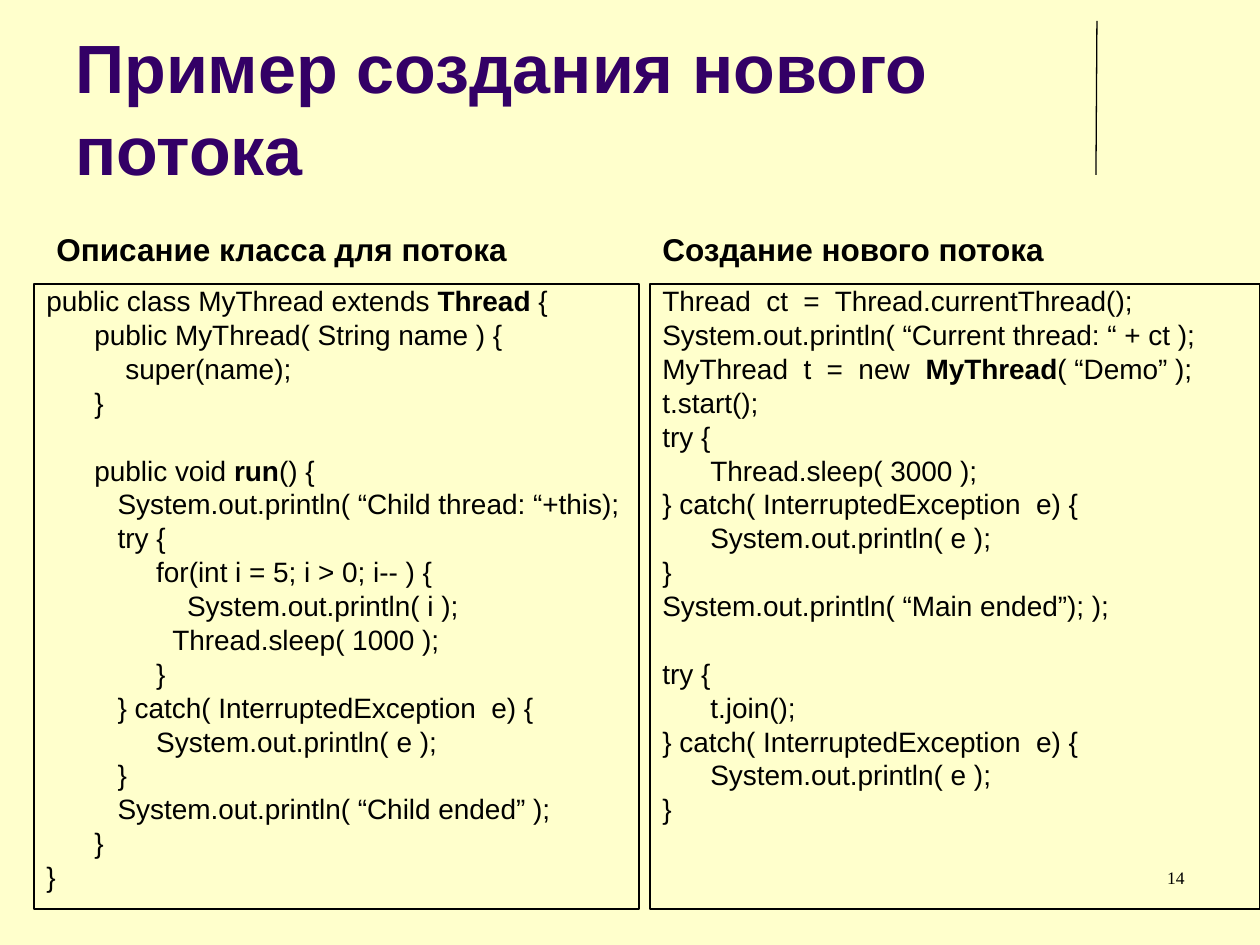
from lxml import etree
from pptx import Presentation, util as u
from pptx.dml.color import RGBColor
from pptx.enum import shapes, text
from pptx.oxml.ns import qn

PX = 914400 // 126
INCH = 914400
CREAM = RGBColor(0xFF, 0xFF, 0xCC)
PURPLE = RGBColor(0x33, 0x00, 0x66)
BLACK = RGBColor(0x00, 0x00, 0x00)

THREAD_CLASS = """\
public class MyThread extends **Thread** {
\tpublic MyThread( String name ) {
\t    super(name);
\t}

\tpublic void **run**() {
\t   System.out.println( “Child thread: “+this);
\t   try {
\t        for(int i = 5; i > 0; i-- ) {
\t            System.out.println( i );
\t\t  Thread.sleep( 1000 );
\t        }
\t   } catch( InterruptedException  e) {
\t        System.out.println( e );
\t   }
\t   System.out.println( “Child ended” );
\t}
}"""

THREAD_START = """\
Thread  ct  =  Thread.currentThread();
System.out.println( “Current thread: “ + ct );
MyThread  t  =  new  **MyThread**( “Demo” );
t.start();
try {
\tThread.sleep( 3000 );
} catch( InterruptedException  e) {
\tSystem.out.println( e );
}
System.out.println( “Main ended”); );

try {
\tt.join();
} catch( InterruptedException  e) {
\tSystem.out.println( e );
}"""


def set_font(paragraph, size, color=BLACK, bold=None, name="Arial"):
    font = paragraph.font
    font.name, font.size, font.bold = name, u.Pt(size), bold
    font.color.rgb = color


def add_label(left, top, width, height, words):
    """Add a wrapping one-paragraph text box and return its text frame."""
    box = slide.shapes.add_textbox(left * PX, top * PX, width * PX, height * PX)
    box.text_frame.word_wrap = True
    box.text_frame.text = words
    return box.text_frame


presentation = Presentation()
presentation.slide_width = u.Inches(10)
presentation.slide_height = u.Inches(7.5)
slide = presentation.slides.add_slide(presentation.slide_layouts[6])
slide.background.fill.solid()
slide.background.fill.fore_color.rgb = CREAM

# Title and the rule to its right
rule = slide.shapes.add_connector(
    shapes.MSO_CONNECTOR.STRAIGHT, 1097 * PX, 21 * PX, 1096 * PX, 175 * PX)
rule.line.color.rgb = BLACK
rule.line.width = u.Pt(0.75)
etree.SubElement(rule._element.spPr, qn("a:effectLst"))

title = add_label(63, 16, 1040, 179, "Пример создания нового потока")
title.vertical_anchor = text.MSO_ANCHOR.BOTTOM
set_font(title.paragraphs[0], 39, PURPLE, True)

# Code panels: left, width, line width, code
for left, width, line_width, code in (
    (34, 605, 0.75, THREAD_CLASS),
    (650, 610, 1, THREAD_START),
):
    panel = slide.shapes.add_shape(
        shapes.MSO_SHAPE.RECTANGLE, left * PX, 284 * PX, width * PX, 625 * PX)
    panel.shadow.inherit = False
    panel.fill.background()
    panel.line.color.rgb = BLACK
    panel.line.width = u.Pt(line_width)
    frame = panel.text_frame
    frame.word_wrap = True
    frame.vertical_anchor = text.MSO_ANCHOR.TOP
    for index, code_line in enumerate(code.split("\n")):
        paragraph = frame.add_paragraph() if index else frame.paragraphs[0]
        properties = paragraph._p.get_or_add_pPr()
        properties.set("marL", str(48 * PX))
        properties.set("indent", str(-48 * PX))
        tabs = etree.SubElement(properties, qn("a:tabLst"))
        for stop in range(8):
            etree.SubElement(tabs, qn("a:tab"), pos=str(stop * INCH), algn="l")
        paragraph.alignment = text.PP_ALIGN.LEFT
        paragraph.line_spacing = 0.8
        paragraph.space_before = u.Pt(4 if index else 0)
        set_font(paragraph, 16)
        for part, words in enumerate(code_line.split("**")):
            run = paragraph.add_run()
            run.text = words
            if part % 2:
                run.font.bold = True

# Panel headings
for left, heading in ((44, "Описание класса для потока"),
                      (650, "Создание нового потока")):
    frame = add_label(left, 224, 546, 50, heading)
    set_font(frame.paragraphs[0], 18, bold=True)

# Slide number
number = add_label(903, 861, 294, 63, "14").paragraphs[0]
number.alignment = text.PP_ALIGN.RIGHT
set_font(number, 10, name="Times New Roman")

presentation.save("out.pptx")
